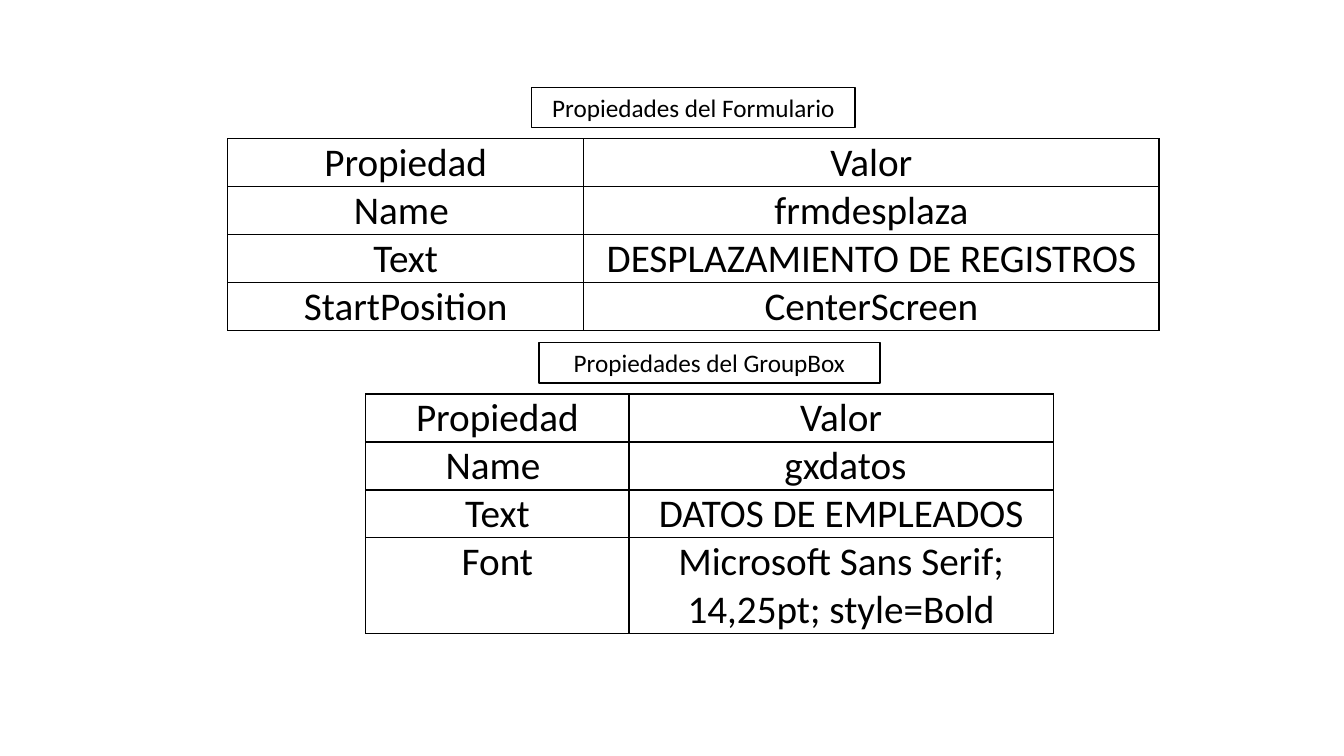
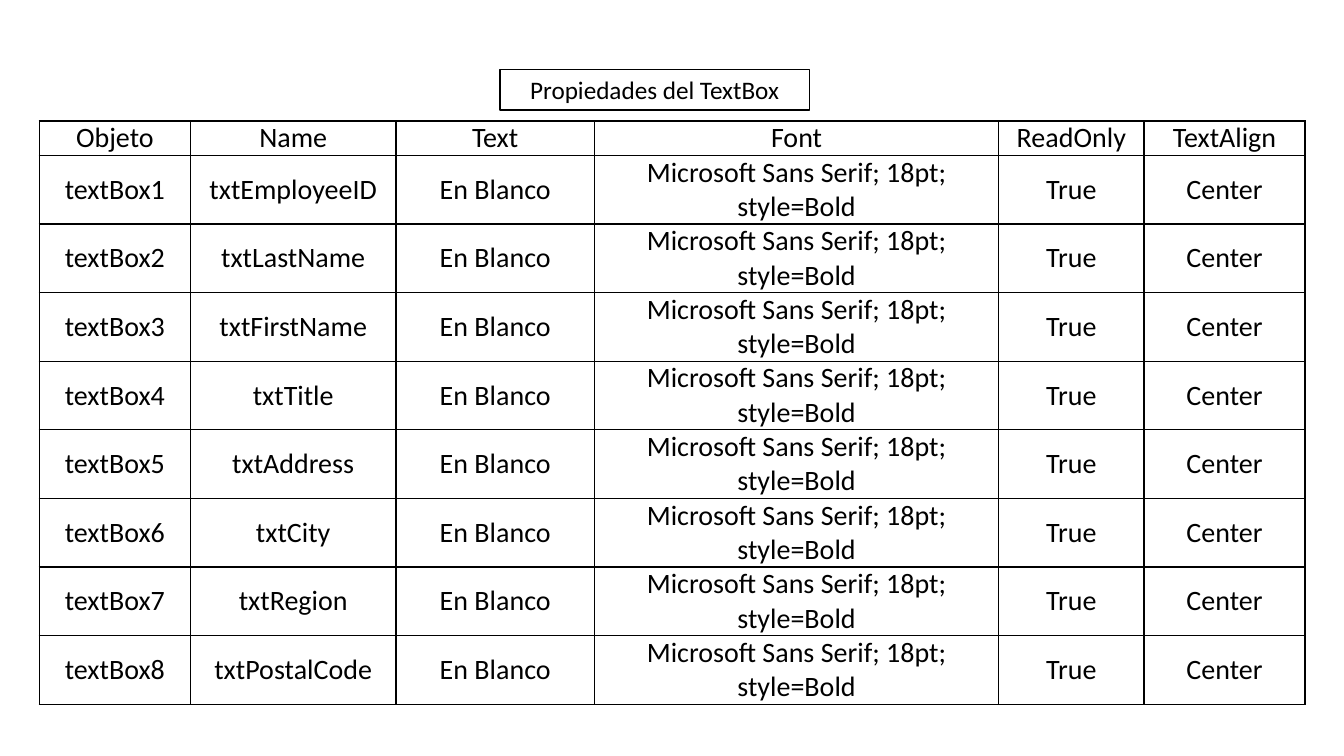
from lxml import etree
from pptx import Presentation
from pptx import util as u
from pptx.dml.color import RGBColor
from pptx.enum import shapes, text
from pptx.oxml import ns

BLACK = RGBColor(0x00, 0x00, 0x00)
WHITE = RGBColor(0xFF, 0xFF, 0xFF)
FONT = "Calibri"
RULE = u.Pt(1)
TITLE_ONLY = 5
CAPTION_HEIGHT = u.Cm(1.02)
CAPTION_RISE = u.Cm(1.3)  # from caption top to table top
TABLE_HEADER = ("Propiedad", "Valor")
CELL_SIDE = u.Cm(0.18)

FORM_ROWS = [
    TABLE_HEADER,
    ("Name ", "frmdesplaza"),
    ("Text", "DESPLAZAMIENTO DE REGISTROS"),
    ("StartPosition", "CenterScreen"),
]
GROUP_ROWS = [
    TABLE_HEADER,
    ("Name ", " gxdatos"),
    ("Text", "DATOS DE EMPLEADOS"),
    ("Font", "Microsoft Sans Serif; 14,25pt; style=Bold"),
]
FIELDS = ["EmployeeID", "LastName", "FirstName", "Title",
          "Address", "City", "Region", "PostalCode"]
TEXTBOX_ROWS = [("Objeto", "Name", "Text", "Font", "ReadOnly", "TextAlign")] + [
    (f"textBox{number}", f"txt{field}", "En Blanco",
     "Microsoft Sans Serif; 18pt; style=Bold", "True", "Center")
    for number, field in enumerate(FIELDS, 1)
]


def write(frame, words, size):
    """Put one centred run into a text frame."""
    paragraph = frame.paragraphs[0]
    paragraph.alignment = text.PP_ALIGN.CENTER
    run = paragraph.add_run()
    run.text = words
    run.font.size = u.Pt(size)
    run.font.name = FONT
    run.font.color.rgb = BLACK


def add_borders(cell):
    properties = cell._tc.get_or_add_tcPr()
    for side in ("lnL", "lnR", "lnT", "lnB"):
        line = etree.SubElement(properties, ns.qn(f"a:{side}"), w=str(int(RULE)))
        fill = etree.SubElement(line, ns.qn("a:solidFill"))
        etree.SubElement(fill, ns.qn("a:srgbClr"), val=str(BLACK))


def format_caption(caption, words, left, top, width):
    """Framed label above a table."""
    caption.left, caption.top = left, top
    caption.width, caption.height = width, CAPTION_HEIGHT
    caption.fill.solid()
    caption.fill.fore_color.rgb = WHITE
    caption.line.color.rgb = BLACK
    caption.line.width = RULE
    frame = caption.text_frame
    frame.word_wrap = True
    frame.auto_size = text.MSO_AUTO_SIZE.NONE
    frame.vertical_anchor = text.MSO_ANCHOR.MIDDLE
    write(frame, words, 18)


def add_grid(slide, rows, left, top, widths, heights, size, anchor):
    """Ruled table without fills."""
    grid = slide.shapes.add_table(len(rows), len(widths), left, top,
                                  sum(widths), sum(heights)).table
    grid.first_row = grid.horz_banding = False
    for column, width in zip(grid.columns, widths):
        column.width = width
    for row, height, entries in zip(grid.rows, heights, rows):
        row.height = height
        for cell, entry in zip(row.cells, entries):
            cell.margin_left = cell.margin_right = CELL_SIDE
            cell.margin_top = cell.margin_bottom = 0
            cell.vertical_anchor = anchor
            add_borders(cell)
            cell.fill.background()
            write(cell.text_frame, entry, size)


def add_section(slide, caption, words, caption_width, rows, left, top, widths,
                heights, size, anchor=text.MSO_ANCHOR.TOP, shift=0):
    """Caption centred over its table, moved sideways by shift."""
    left, top, caption_width = u.Cm(left), u.Cm(top), u.Cm(caption_width)
    widths = [u.Cm(width) for width in widths]
    heights = [u.Cm(height) for height in heights]
    caption_left = left + (sum(widths) - caption_width) // 2 + u.Cm(shift)
    format_caption(caption, words, caption_left, top - CAPTION_RISE, caption_width)
    add_grid(slide, rows, left, top, widths, heights, size, anchor)


def build_form_slide(deck):
    slide = deck.slides.add_slide(deck.slide_layouts[TITLE_ONLY])
    line = 1.18
    # Form properties
    add_section(slide, slide.shapes.title, "Propiedades del Formulario", 8.15,
                FORM_ROWS, 5.74, 3.5, [8.97, 14.5], [line] * 4, 28)
    # Group box properties
    group_caption = slide.shapes.add_shape(shapes.MSO_SHAPE.RECTANGLE, 0, 0, 0, 0)
    group_caption.shadow.inherit = False
    add_section(slide, group_caption, "Propiedades del GroupBox", 8.59,
                GROUP_ROWS, 9.22, 9.93, [6.63, 10.69],
                [line] * 3 + [2 * line], 28)


def build_textbox_slide(deck):
    slide = deck.slides.add_slide(deck.slide_layouts[TITLE_ONLY])
    line = 0.85
    add_section(slide, slide.shapes.title, "Propiedades del TextBox", 7.8,
                TEXTBOX_ROWS, 0.99, 3.05, [3.81, 5.18, 5, 10.19, 3.66, 4.06],
                [line] + [2 * line] * len(FIELDS), 20,
                anchor=text.MSO_ANCHOR.MIDDLE, shift=-0.44)


def main():
    deck = Presentation()
    deck.slide_width, deck.slide_height = u.Cm(33.87), u.Cm(19.05)
    build_form_slide(deck)
    build_textbox_slide(deck)
    deck.save("out.pptx")


if __name__ == "__main__":
    main()
